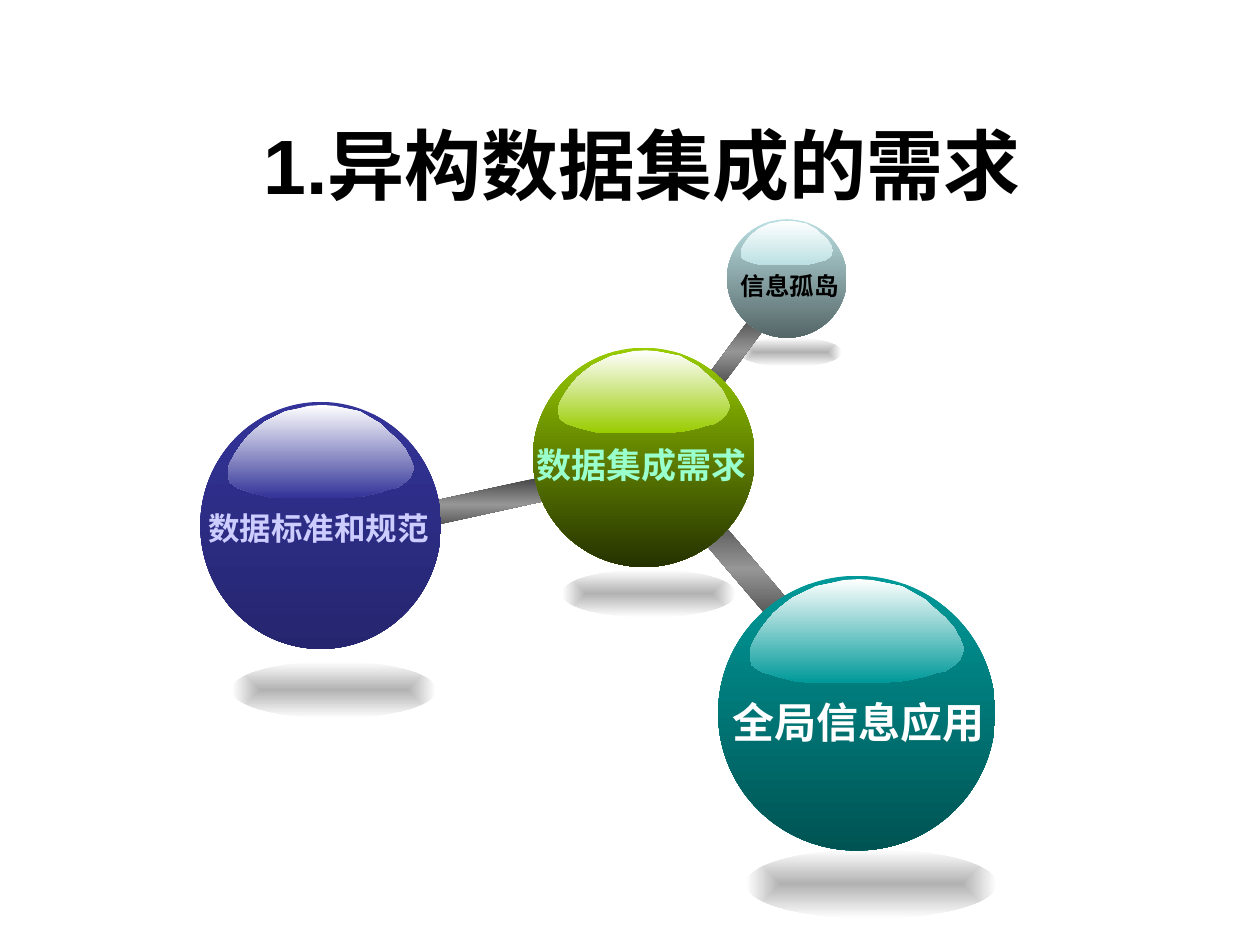
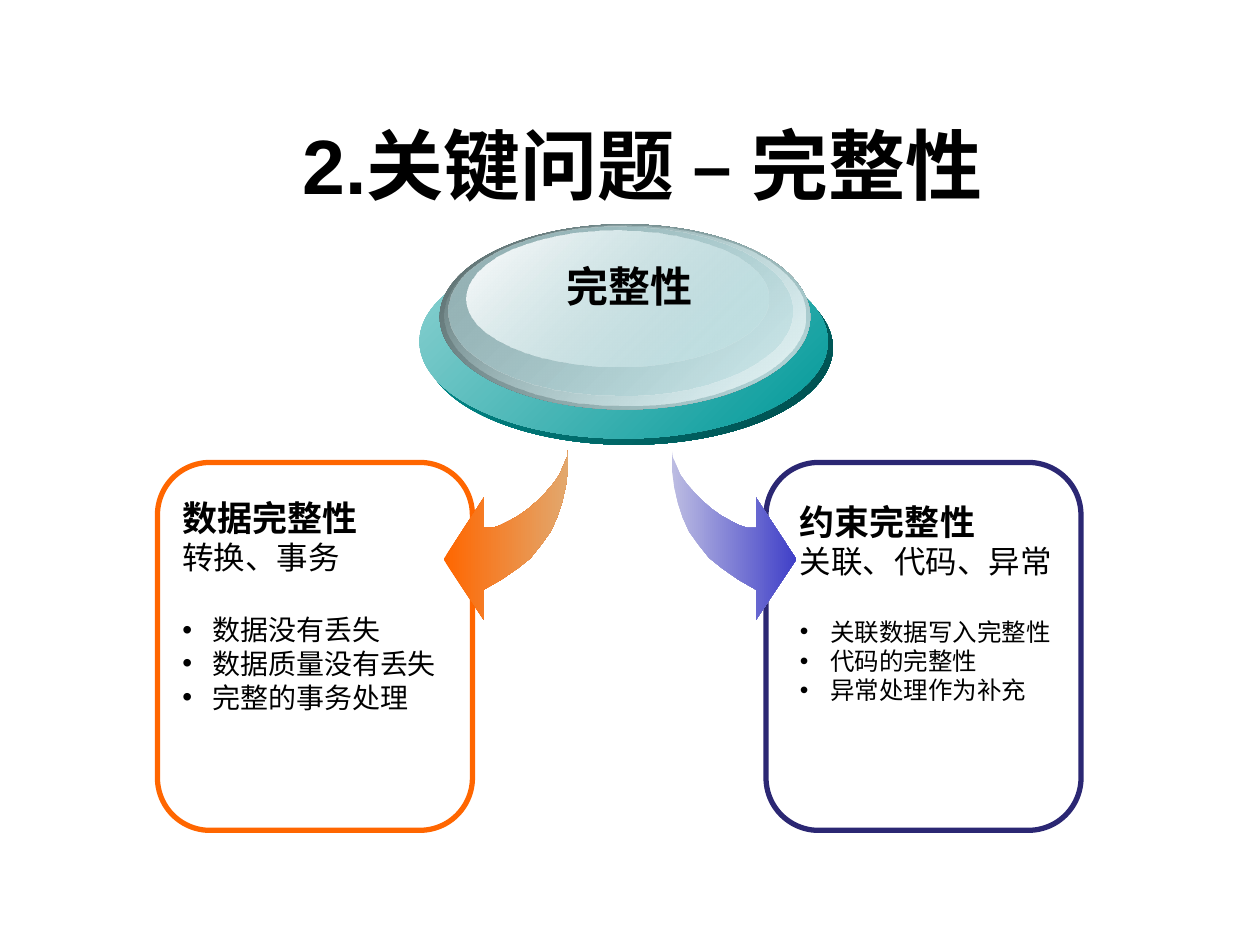
from pptx import Presentation
from pptx.dml.color import RGBColor
from pptx.enum.shapes import MSO_SHAPE
from pptx.enum.text import MSO_ANCHOR, PP_ALIGN
from pptx.oxml import parse_xml
from pptx.oxml.ns import nsdecls, qn
from pptx.util import Inches, Pt

BLACK = RGBColor(0x00, 0x00, 0x00)
WHITE = RGBColor(0xFF, 0xFF, 0xFF)
SHADOW_GREY = RGBColor(0xB2, 0xB2, 0xB2)
ROD_DARK = RGBColor(0x45, 0x45, 0x45)
ROD_LIGHT = RGBColor(0x96, 0x96, 0x96)
LIME = RGBColor(0x99, 0xCC, 0x00)
DARK_LIME = RGBColor(0x25, 0x32, 0x00)
MINT = RGBColor(0x99, 0xFF, 0xCC)
ICE = RGBColor(0xBB, 0xE0, 0xE3)
PALE_ICE = RGBColor(0xE7, 0xF4, 0xF5)
MID_ICE = RGBColor(0x94, 0xB1, 0xB4)
DARK_ICE = RGBColor(0x55, 0x66, 0x67)
RIM_ICE = RGBColor(0x57, 0x68, 0x69)
INDIGO = RGBColor(0x33, 0x33, 0x99)
DARK_INDIGO = RGBColor(0x25, 0x25, 0x6F)
LAVENDER = RGBColor(0xCC, 0xCC, 0xFF)
TEAL = RGBColor(0x00, 0x99, 0x99)
DARK_TEAL = RGBColor(0x00, 0x53, 0x53)
DEEP_TEAL = RGBColor(0x00, 0x4A, 0x4A)
PALE_TEAL = RGBColor(0x8E, 0xD2, 0xD2)
ORANGE = RGBColor(0xFF, 0x66, 0x00)
SAND = RGBColor(0xE2, 0xA8, 0x6E)
NAVY = RGBColor(0x2B, 0x27, 0x73)
BLUE = RGBColor(0x40, 0x40, 0xC8)
PALE_BLUE = RGBColor(0xBC, 0xBC, 0xE2)

LATIN = "Arial"
CJK = "Noto Sans CJK SC"
LINEAR = '<a:lin ang="{}" scaled="0"/>'
FROM_CENTRE = ('<a:path path="rect"><a:fillToRect l="50000" t="50000" '
               'r="50000" b="50000"/></a:path>')

GLOSS_OUTLINE = [
    (0.98, 0.57), (0.99, 0.62), (1, 0.68), (0.99, 0.73), (0.98, 0.78),
    (0.96, 0.82), (0.94, 0.85), (0.91, 0.89), (0.86, 0.91), (0.82, 0.94),
    (0.73, 0.98), (0.62, 1), (0.31, 1), (0.22, 0.99), (0.14, 0.95),
    (0.08, 0.91), (0.05, 0.89), (0.01, 0.83), (0, 0.74), (0, 0.7),
    (0.01, 0.63), (0.04, 0.52), (0.07, 0.43), (0.11, 0.33), (0.15, 0.26),
    (0.2, 0.18), (0.26, 0.12), (0.31, 0.07), (0.38, 0.04), (0.44, 0.01),
    (0.51, 0), (0.57, 0.01), (0.64, 0.04), (0.71, 0.07), (0.76, 0.13),
    (0.82, 0.2), (0.86, 0.28), (0.91, 0.37), (0.95, 0.46)]

LEFT_ARROW = [
    (4.51, 3.56), (4.51, 3.71), (4.49, 3.86), (4.46, 3.99), (4.42, 4.11),
    (4.37, 4.22), (4.29, 4.33), (4.21, 4.43), (4.11, 4.51), (3.98, 4.6),
    (3.84, 4.68), (3.84, 4.92), (3.52, 4.44), (3.84, 3.95), (3.84, 4.19),
    (3.91, 4.19), (3.97, 4.17), (4.05, 4.13), (4.12, 4.09), (4.19, 4.04),
    (4.26, 3.98), (4.33, 3.91), (4.39, 3.84), (4.44, 3.77), (4.47, 3.7),
    (4.5, 3.63)]
ARROWS_AXIS = 4.92

GROUND_SHADOWS = [(5.87, 2.68, 0.81, 0.23), (4.46, 4.52, 1.38, 0.38),
                  (5.92, 6.74, 1.99, 0.55), (1.84, 5.25, 1.62, 0.45)]
RODS = [((5.38, 4.41, 1.05, 0.21), 229.5), ((3.2, 3.91, 1.1, 0.19), 347.6),
        ((5.52, 2.72, 0.65, 0.14), 306.6)]
BALLS = [
    ((4.23, 2.76, 1.76, 1.74), LIME, DARK_LIME,
     "数据集成需求", (4.08, 3.47, 2.03, 0.44), 20, MINT, LATIN),
    ((5.77, 1.74, 0.95, 0.94), ICE, DARK_ICE,
     "信息孤岛", (5.78, 2.1, 0.98, 0.34), 14, BLACK, "DejaVu Sans"),
    ((1.59, 3.19, 1.91, 1.96), INDIGO, DARK_INDIGO,
     "数据标准和规范", (1.4, 3.99, 2.26, 0.4), 18, LAVENDER, LATIN),
    ((5.7, 4.57, 2.2, 2.18), TEAL, DARK_TEAL,
     "全局信息应用", (5.55, 5.48, 2.52, 0.5), 24, WHITE, LATIN)]
DISC_LAYERS = [
    ((3.37, 1.99, 3.24, 1.54), (TEAL, 100), (DEEP_TEAL, 100)),
    ((3.33, 1.94, 3.24, 1.54), (PALE_TEAL, 100), (TEAL, 100)),
    ((3.49, 1.78, 2.94, 1.47), (RIM_ICE, 100), (ICE, 100)),
    ((3.53, 1.79, 2.86, 1.43), (ICE, 0), (PALE_ICE, 100)),
    ((3.56, 1.8, 2.73, 1.34), (MID_ICE, 100), (ICE, 48)),
    ((3.7, 1.83, 2.4, 1.08), (WHITE, 100), (ICE, 38))]


def inches(box):
    """Turn a box of numbers into lengths."""
    return [Inches(length) for length in box]


def fill_gradient(shape, colours, angle=None):
    """Spread (colour, opacity) stops evenly, along an angle or from the centre."""
    shape.shadow.inherit = False
    shape.line.fill.background()
    shape.fill.background()
    last = len(colours) - 1
    stops = "".join(
        f'<a:gs pos="{100000 * i // last}"><a:srgbClr val="{colour}">'
        f'<a:alpha val="{opacity * 1000}"/></a:srgbClr></a:gs>'
        for i, (colour, opacity) in enumerate(colours))
    course = FROM_CENTRE if angle is None else LINEAR.format(round(angle * 60000))
    gradient = parse_xml(f'<a:gradFill {nsdecls("a")} rotWithShape="1">'
                         f'<a:gsLst>{stops}</a:gsLst>{course}</a:gradFill>')
    properties = shape.element.spPr
    properties.replace(properties.find(qn("a:noFill")), gradient)


def solid(*colours):
    """Give every colour full opacity."""
    return [(colour, 100) for colour in colours]


def add_oval(slide, box, colours, angle=None):
    """Draw an ellipse with a gradient."""
    oval = slide.shapes.add_shape(MSO_SHAPE.OVAL, *inches(box))
    fill_gradient(oval, colours, angle)


def add_outline(slide, points, colours, angle):
    """Draw a closed polygon with a gradient."""
    corners = [inches(point) for point in points]
    builder = slide.shapes.build_freeform(*corners[0])
    builder.add_line_segments(corners[1:], close=True)
    fill_gradient(builder.convert_to_shape(), colours, angle)


def style(paragraph, text, size, bold=False, colour=BLACK, font=LATIN):
    """Write a paragraph in one font."""
    paragraph.text = text
    paragraph.font.size = Pt(size)
    paragraph.font.bold = bold
    paragraph.font.name = font
    paragraph.font.color.rgb = colour


def add_label(slide, box, text, size, colour=BLACK, font=LATIN):
    """Write one bold centred line."""
    frame = slide.shapes.add_textbox(*inches(box)).text_frame
    frame.word_wrap = False
    style(frame.paragraphs[0], text, size, True, colour, font)
    frame.paragraphs[0].alignment = PP_ALIGN.CENTER
    return frame


def add_title(slide, text):
    """Write the slide title."""
    frame = add_label(slide, (1.06, 0.99, 8.08, 0.62), text, 44)
    frame.vertical_anchor = MSO_ANCHOR.MIDDLE


def add_rod(slide, box, rotation):
    """Draw a tilted rod shaded from top to bottom of the page."""
    rod = slide.shapes.add_shape(MSO_SHAPE.RECTANGLE, *inches(box))
    rod.rotation = rotation
    fill_gradient(rod, solid(ROD_DARK, ROD_LIGHT, ROD_DARK), (90 - rotation) % 360)


def add_ball(slide, box, colour, dark):
    """Draw a glossy ball."""
    left, top, width, height = box
    add_oval(slide, box, solid(colour, dark), 90)
    gloss = [(left + width * (0.114 + 0.773 * x), top + height * (0.012 + 0.377 * y))
             for x, y in GLOSS_OUTLINE]
    add_outline(slide, gloss, solid(WHITE, colour), 90)


def add_panel(slide, left, colour):
    """Draw an empty rounded frame."""
    panel = slide.shapes.add_shape(MSO_SHAPE.ROUNDED_RECTANGLE,
                                   *inches((left, 3.67, 2.5, 2.92)))
    panel.shadow.inherit = False
    panel.fill.background()
    panel.line.color.rgb = colour
    panel.line.width = Pt(3)


def add_bullet(paragraph):
    """Put a hanging bullet before a paragraph."""
    properties = paragraph._p.get_or_add_pPr()
    properties.set("marL", str(Inches(0.24)))
    properties.set("indent", str(-Inches(0.24)))
    properties.append(parse_xml(f'<a:buFont {nsdecls("a")} typeface="{LATIN}"/>'))
    properties.append(parse_xml(f'<a:buChar {nsdecls("a")} char="•"/>'))


def add_panel_text(slide, box, heading, topics, points, size, font):
    """Write a heading, its topics and a bulleted list."""
    frame = slide.shapes.add_textbox(*inches(box)).text_frame
    frame.word_wrap = True
    style(frame.paragraphs[0], heading, 20, True)
    style(frame.add_paragraph(), topics, 18)
    for i, point in enumerate(points):
        paragraph = frame.add_paragraph()
        style(paragraph, point, size, font=font)
        if i == 0:
            paragraph.space_before = Pt(21)
        add_bullet(paragraph)


def build_needs(slide):
    """Fill the slide about integration needs."""
    add_title(slide, "1.异构数据集成的需求")
    for box in GROUND_SHADOWS:
        add_oval(slide, box, solid(SHADOW_GREY, WHITE))
    for box, rotation in RODS:
        add_rod(slide, box, rotation)
    for box, colour, dark, text, text_box, size, text_colour, font in BALLS:
        add_ball(slide, box, colour, dark)
        add_label(slide, text_box, text, size, text_colour, font)


def build_integrity(slide):
    """Fill the slide about integrity."""
    add_title(slide, "2.关键问题 – 完整性")
    add_panel(slide, 6.08, NAVY)
    add_panel(slide, 1.25, ORANGE)
    add_panel_text(slide, (1.35, 3.89, 2.23, 1.84), "数据完整性", "转换、事务",
                   ["数据没有丢失", "数据质量没有丢失", "完整的事务处理"], 16, LATIN)
    right_arrow = [(2 * ARROWS_AXIS - x, y) for x, y in LEFT_ARROW]
    add_outline(slide, LEFT_ARROW, solid(ORANGE, SAND), 0)
    add_outline(slide, right_arrow, solid(PALE_BLUE, BLUE), 0)
    for box, start, end in DISC_LAYERS:
        add_oval(slide, box, [start, end], 45)
    add_label(slide, (4.21, 2.02, 1.57, 0.5), "完整性", 24)
    add_panel_text(slide, (6.25, 3.92, 2.23, 1.74), "约束完整性", "关联、代码、异常",
                   ["关联数据写入完整性", "代码的完整性", "异常处理作为补充"], 14, CJK)


def main():
    """Build and save the two slides."""
    deck = Presentation()
    deck.slide_width, deck.slide_height = Inches(10), Inches(7.5)
    blank = deck.slide_layouts[6]
    for build in (build_needs, build_integrity):
        build(deck.slides.add_slide(blank))
    deck.save("out.pptx")


if __name__ == "__main__":
    main()
